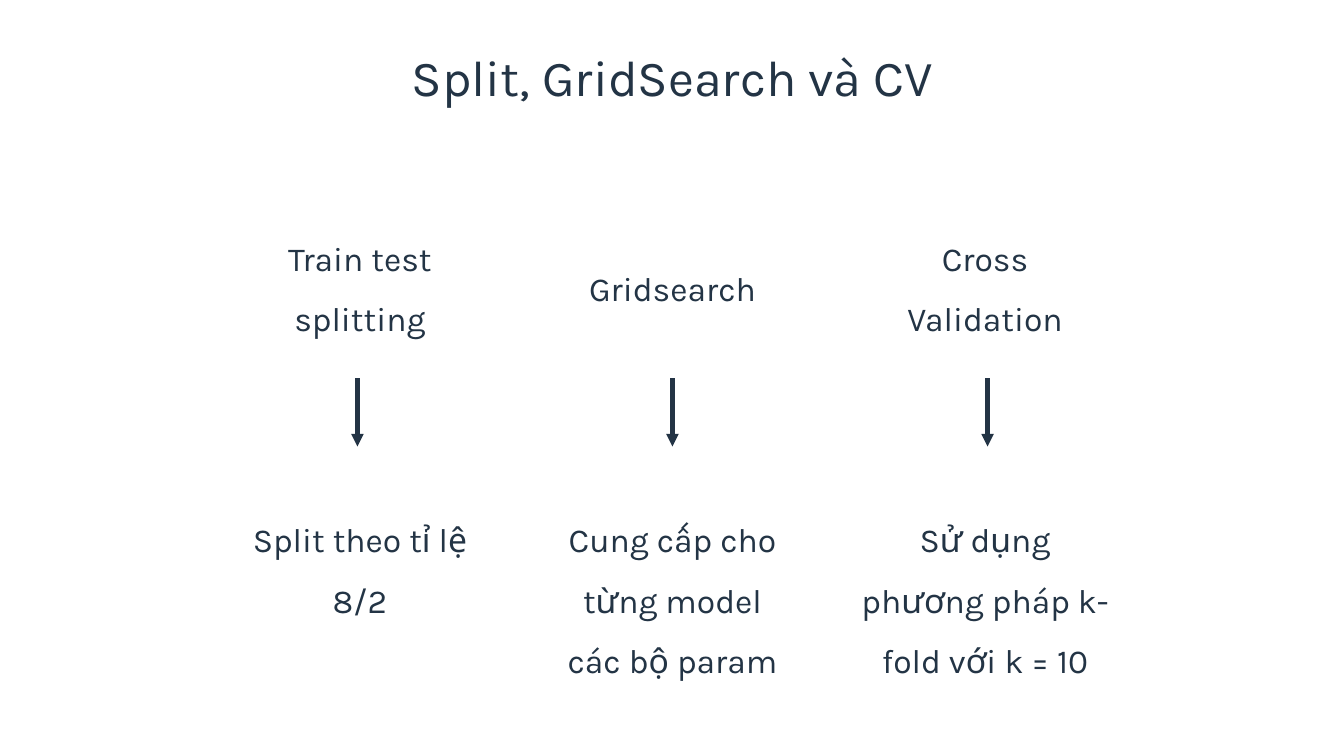
from lxml.etree import SubElement
from pptx import Presentation
from pptx.dml.color import RGBColor
from pptx.enum.shapes import MSO_CONNECTOR as Conn
from pptx.enum.text import MSO_ANCHOR as Anchor, MSO_AUTO_SIZE as AutoSize, PP_ALIGN as Align
from pptx.oxml.ns import qn
from pptx.util import Inches, Pt

COLORS = {"ink": "233445", "paper": "FFFFFF"}


def rgb(name):
    return RGBColor.from_string(COLORS[name])


class SlideBuilder:
    """Holds the style and the current slide."""

    font = "Karla"

    def __init__(self, prs):
        self.s = prs.slides.add_slide(prs.slide_layouts[6])
        fill = self.s.background.fill
        fill.solid()
        fill.fore_color.rgb = rgb("paper")

    def text(self, x, y, w, h, lines, size=24, spacing=1.5, **frame):
        """Centred text box, one paragraph per line."""
        tf = self.s.shapes.add_textbox(*map(Inches, (x, y, w, h))).text_frame
        tf.word_wrap = True
        for name, value in frame.items():
            setattr(tf, name, value)
        tf.text = "\n".join(lines)
        for p in tf.paragraphs:
            p.alignment, p.line_spacing = Align.CENTER, spacing
            for r in p.runs:
                for name, value in {"name": self.font, "size": Pt(size)}.items():
                    setattr(r.font, name, value)
                r.font.color.rgb = rgb("ink")

    def arrow(self, x, top, bottom):
        """Vertical arrow pointing down."""
        c = self.s.shapes.add_connector(
            Conn.STRAIGHT, *map(Inches, (x, top, x, bottom)))
        c.line.color.rgb = rgb("ink")
        c.line.width = Pt(3)
        sp_pr = c._element.spPr
        SubElement(sp_pr.find(qn("a:ln")), qn("a:tailEnd"), type="triangle")
        SubElement(sp_pr, qn("a:effectLst"))


def main():
    prs = Presentation()
    prs.slide_width, prs.slide_height = Inches(13.33), Inches(7.5)
    slide = SlideBuilder(prs)

    # Title
    margins = {f"margin_{side}": Inches(0.1)
               for side in ("left", "top", "right", "bottom")}
    slide.text(3.04, 0.46, 7.26, 0.59, ["Split, GridSearch và CV"], size=36,
               spacing=1, vertical_anchor=Anchor.MIDDLE, **margins)

    # Columns: step, its top and height, detail, its width and height
    columns = [
        (["Train test splitting"], 2.11, 1.25, "Split theo tỉ lệ 8/2", 2.4, 1.25),
        (["Gridsearch"], 2.41, 0.64, "Cung cấp cho từng model các bộ param", 2.4, 1.86),
        (["Cross", "Validation"], 2.11, 1.25,
         "Sử dụng phương pháp k-fold với k = 10", 2.73, 1.86),
    ]
    middle, text_pitch, arrow_pitch, step_w = 6.67, 3.1, 3.125, 2.4
    grow = {"auto_size": AutoSize.SHAPE_TO_FIT_TEXT}
    for i, (step, top, step_h, detail, detail_w, detail_h) in enumerate(columns, -1):
        center = middle + i * text_pitch
        slide.text(center - step_w / 2, top, step_w, step_h, step, **grow)
        slide.text(center - detail_w / 2, 4.9, detail_w, detail_h, [detail], **grow)
        slide.arrow(middle + i * arrow_pitch, 3.75, 4.43)

    prs.save("out.pptx")


if __name__ == "__main__":
    main()
